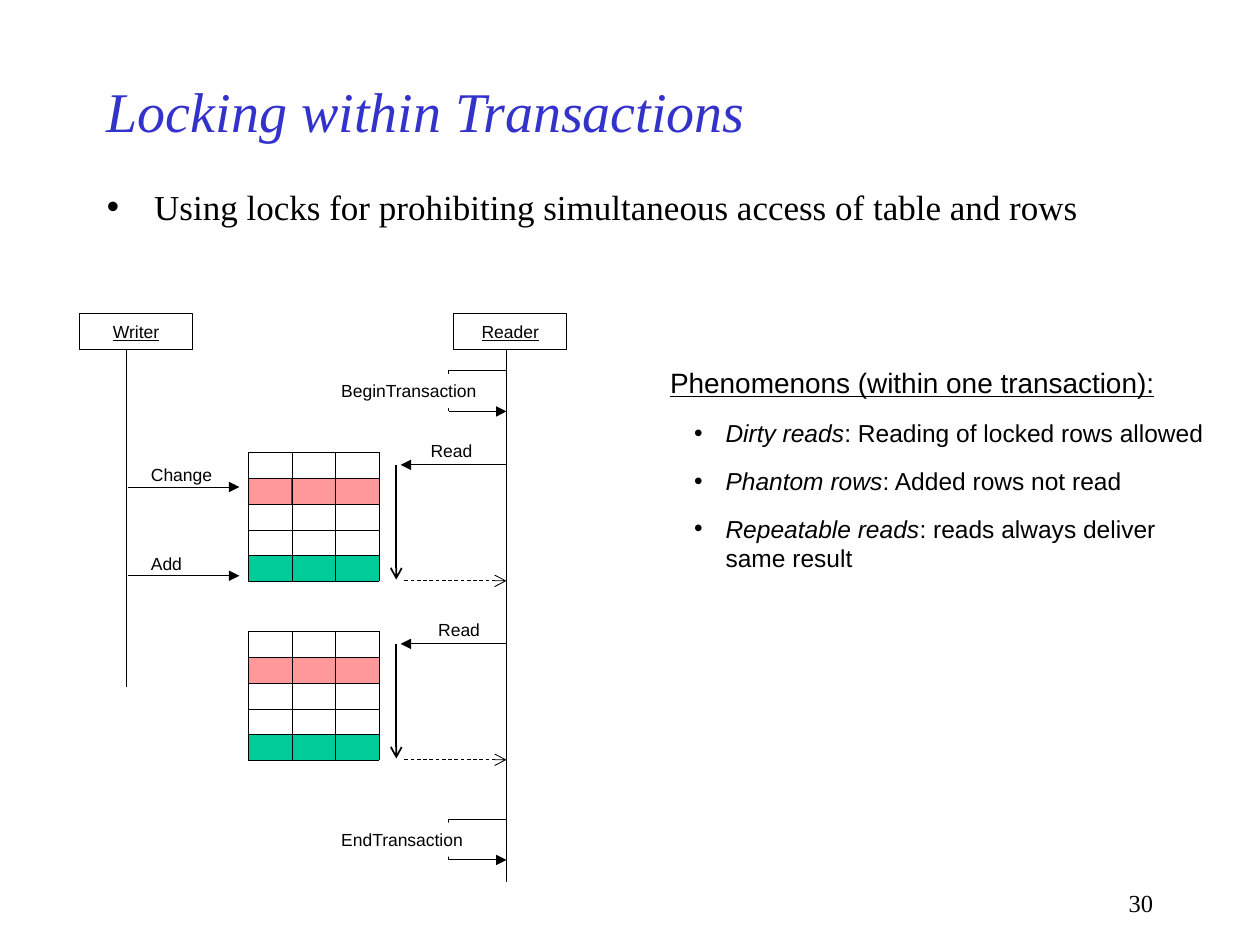
import lxml.etree
import pptx
import pptx.dml.color
import pptx.enum.dml
import pptx.enum.shapes
import pptx.enum.text
import pptx.oxml
import pptx.oxml.ns
import pptx.util

RGBColor = pptx.dml.color.RGBColor
BLACK = RGBColor(0x00, 0x00, 0x00)
WHITE = RGBColor(0xFF, 0xFF, 0xFF)
TITLE_BLUE = RGBColor(0x33, 0x33, 0xCC)
CHANGED_PINK = RGBColor(0xFF, 0x99, 0x99)
CHANGED_EDGE = RGBColor(0xFF, 0x00, 0x00)
ADDED_GREEN = RGBColor(0x00, 0xCC, 0x99)
SERIF = "Times New Roman"
SANS = "Arial"

# The page is a grid of 100 columns and 75 rows with square cells.
COLUMNS, ROWS = 100, 75
UNIT = pptx.util.Inches(10) // COLUMNS

ALIGN = pptx.enum.text.PP_ALIGN
ANCHOR = pptx.enum.text.MSO_ANCHOR

WRITER_LIFELINE, READER_LIFELINE = 10, 40.2
CELL_WIDTH, CELL_HEIGHT = 3.47, 2.05
TABLE_COLUMNS, TABLE_ROWS = 3, 5
CHANGED_ROW, ADDED_ROW = 1, 4


def units(*counts):
    return [round(count * UNIT) for count in counts]


def add_drawing_element(parent, tag, **attributes):
    element = lxml.etree.SubElement(parent, pptx.oxml.ns.qn(tag))
    for name, value in attributes.items():
        element.set(name, value)
    return element


def add_line(parent, start, end, weight=0.5, head=None, dashed=False):
    line = parent.shapes.add_connector(
        pptx.enum.shapes.MSO_CONNECTOR.STRAIGHT, *units(*start, *end))
    line.line.color.rgb = BLACK
    line.line.width = pptx.util.Pt(weight)
    if dashed:
        line.line.dash_style = pptx.enum.dml.MSO_LINE.DASH
    if head:
        add_drawing_element(line.line._get_or_add_ln(), "a:tailEnd", type=head)
    add_drawing_element(line._element.spPr, "a:effectLst")


def add_rectangle(parent, left, top, width, height, fill=None, edge=None):
    box = parent.shapes.add_shape(
        pptx.enum.shapes.MSO_SHAPE.RECTANGLE, *units(left, top, width, height))
    box.shadow.inherit = False
    if fill is None:
        box.fill.background()
    else:
        box.fill.solid()
        box.fill.fore_color.rgb = fill
    if edge is None:
        box.line.fill.background()
    else:
        box.line.color.rgb = edge
        box.line.width = pptx.util.Pt(0.5)
    return box


def add_text_box(parent, left, top, width, height):
    box = parent.shapes.add_textbox(*units(left, top, width, height))
    box.text_frame.word_wrap = True
    return box


def style_span(span, size, name, color=BLACK, italic=False, underline=False):
    font = span.font
    font.size, font.name = pptx.util.Pt(size), name
    font.color.rgb = color
    font.italic, font.underline = italic, underline


def write(box, text, size=10, name=SANS, align=ALIGN.LEFT, **style):
    para = box.text_frame.paragraphs[0]
    para.text = text
    para.alignment = align
    style_span(para.runs[0], size, name, **style)
    return para


def add_bullet(para, margin, indent):
    properties = para._p.get_or_add_pPr()
    properties.set("marL", str(units(margin)[0]))
    properties.set("indent", str(units(indent)[0]))
    color = add_drawing_element(properties, "a:buClr")
    add_drawing_element(color, "a:srgbClr", val=str(BLACK))
    add_drawing_element(properties, "a:buFont", typeface=SANS)
    add_drawing_element(properties, "a:buChar", char="•")


def add_heading(page, left, top, width):
    title = add_text_box(page, left, top, width - 11.1, 7.5)
    title.text_frame.vertical_anchor = ANCHOR.MIDDLE
    write(title, "Locking within Transactions", 32, SERIF, color=TITLE_BLUE, italic=True)
    body = add_text_box(page, left, top + 9.2, width, 7)
    para = write(body, "Using locks for prohibiting simultaneous access of table and rows", 20, SERIF)
    add_bullet(para, 3.75, -3.75)


def add_participant(page, name, left, top, lifeline, bottom):
    width, height = 9, 2.85
    box = add_rectangle(page, left, top, width, height, edge=BLACK)
    box.text_frame.word_wrap = False
    box.text_frame.vertical_anchor = ANCHOR.MIDDLE
    write(box, name, align=ALIGN.CENTER, underline=True)
    add_line(page, (lifeline, top + height), (lifeline, bottom))


def add_label(parent, text, left, top, width, fill=None):
    if fill is None:
        box = add_text_box(parent, left, top, width, 2.7)
    else:
        box = add_rectangle(parent, left, top, width, 2.7, fill=fill)
        box.text_frame.vertical_anchor = ANCHOR.TOP
    box.text_frame.word_wrap = False
    box.text_frame.auto_size = pptx.enum.text.MSO_AUTO_SIZE.SHAPE_TO_FIT_TEXT
    write(box, text)


def add_writer_call(page, text, left, y, width, label_width):
    group = page.shapes.add_group_shape()
    add_line(group, (left, y), (left + width, y), head="triangle")
    add_label(group, text, left + 0.8, y - 2.3, label_width)


def add_row_table(page, left, top, edge=None):
    """Draws the table of rows, with its changed and its added row coloured."""
    group = page.shapes.add_group_shape()
    xs = [left + column * CELL_WIDTH for column in range(TABLE_COLUMNS + 1)]
    ys = [top + row * CELL_HEIGHT for row in range(TABLE_ROWS + 1)]
    for row, fill, outline in ((CHANGED_ROW, CHANGED_PINK, edge), (ADDED_ROW, ADDED_GREEN, None)):
        for x in xs[:-1]:
            add_rectangle(group, x, ys[row], CELL_WIDTH, CELL_HEIGHT, fill, outline)
    for y in ys:
        add_line(group, (xs[0], y), (xs[-1], y), 0.25)
    for x in xs:
        add_line(group, (x, ys[0]), (x, ys[ADDED_ROW]), 0.25)
        add_line(group, (x, ys[ADDED_ROW]), (x, ys[-1]), 0.25)


def add_read(page, left, top, label_shift):
    """Draws the reader's request, the scan down the table and the reply."""
    group = page.shapes.add_group_shape()
    right = left + 20.5
    request, reply = top + 1, top + 10.2
    add_line(group, (right, request), (left + 12.1, request), head="triangle")
    add_line(group, (left + 11.75, request), (left + 11.75, reply - 0.1), 1, head="arrow")
    add_line(group, (left + 12.4, reply), (right, reply), head="arrow", dashed=True)
    add_label(group, "Read", left + label_shift, top - 1.5, 5.6)


def add_self_call(page, text, right, top, label_width):
    group = page.shapes.add_group_shape()
    left, bottom = right - 4.6, top + 3.25
    add_line(group, (right, top), (left, top))
    add_line(group, (left, top), (left, bottom))
    add_line(group, (left, bottom), (right, bottom), head="triangle")
    add_label(group, text, right - 14.1, top + 0.3, label_width, WHITE)


def add_sequence_diagram(page, left, top):
    for name, shift, lifeline, bottom in (
            ("Writer", 0, WRITER_LIFELINE, 54.5), ("Reader", 29.7, READER_LIFELINE, 70)):
        add_participant(page, name, left + shift, top, lifeline, bottom)
    table_left = left + 13.4
    for shift, edge, label_shift in ((11, CHANGED_EDGE, 13.5), (25.2, None, 14.1)):
        add_row_table(page, table_left, top + shift, edge)
        add_read(page, table_left, top + shift, label_shift)
    for text, shift, label_width in (("Change", 13.75, 7.4), ("Add", 20.8, 5)):
        add_writer_call(page, text, WRITER_LIFELINE + 0.2, top + shift, 8.8, label_width)
    for text, shift, label_width in (("BeginTransaction", 4.5, 12.8), ("EndTransaction", 40.1, 11.8)):
        add_self_call(page, text, READER_LIFELINE, top + shift, label_width)


def add_phenomena(page, left, top, width, height):
    box = add_text_box(page, left, top, width, height)
    para = write(box, "Phenomenons (within one transaction):", 16, underline=True)
    para.space_after = pptx.util.Pt(6)
    for term, meaning in (
            ("Dirty reads", ": Reading of locked rows allowed"),
            ("Phantom rows", ": Added rows not read"),
            ("Repeatable reads", ": reads always deliver same result")):
        para = box.text_frame.add_paragraph()
        para.level = 1
        para.space_before = para.space_after = pptx.util.Pt(5.2)
        add_bullet(para, 4.4, -2.5)
        for text, italic in ((term, True), (meaning, False)):
            span = para.add_run()
            span.text = text
            style_span(span, 14, SANS, italic=italic)


def add_page_number(page, left, top, width, height):
    write(add_text_box(page, left, top, width, height), "30", 14, SERIF, align=ALIGN.RIGHT)


def main():
    deck = pptx.Presentation()
    deck.slide_width, deck.slide_height = units(COLUMNS, ROWS)
    page = deck.slides.add_slide(deck.slide_layouts[6])
    add_heading(page, 7.5, 5, 86.1)
    add_sequence_diagram(page, 6.3, 24.9)
    add_phenomena(page, 52.2, 28.5, 44.7, 17.5)
    add_page_number(page, 71.7, 70, 20.8, 3.3)
    deck.save("out.pptx")


if __name__ == "__main__":
    main()
